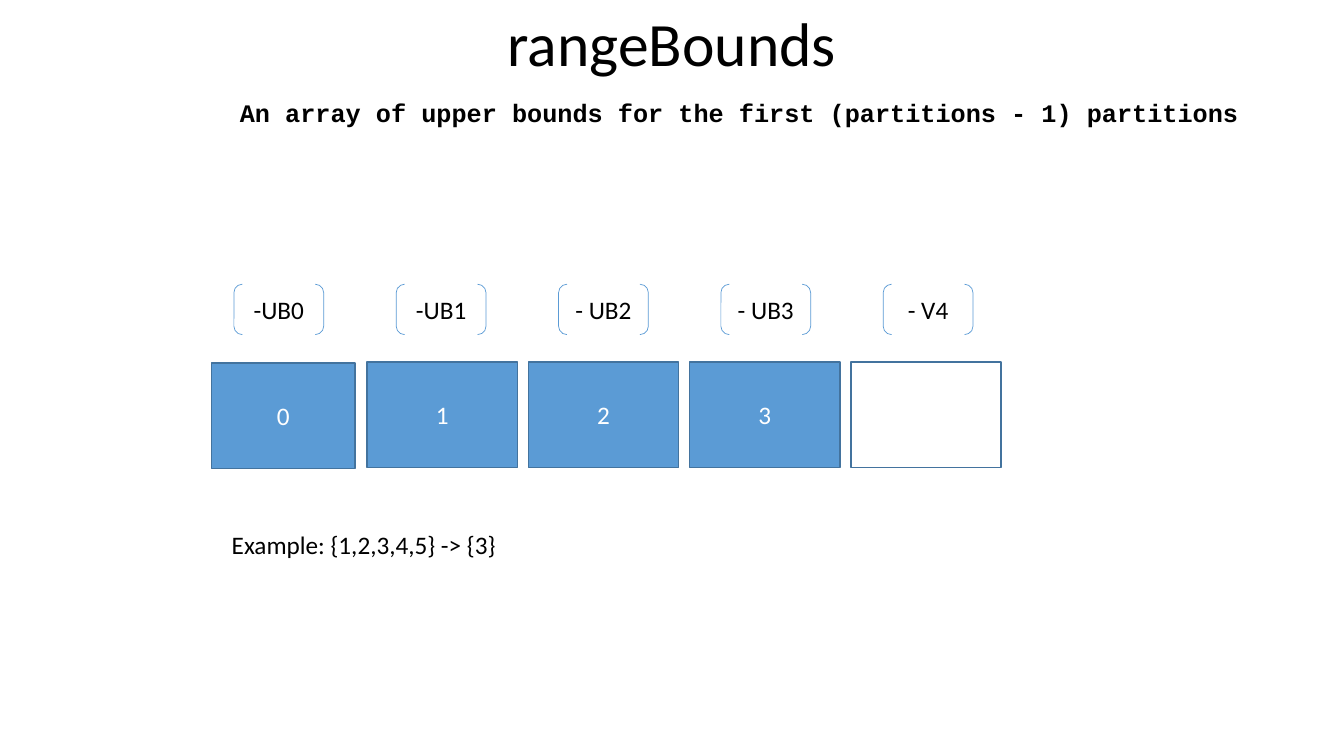
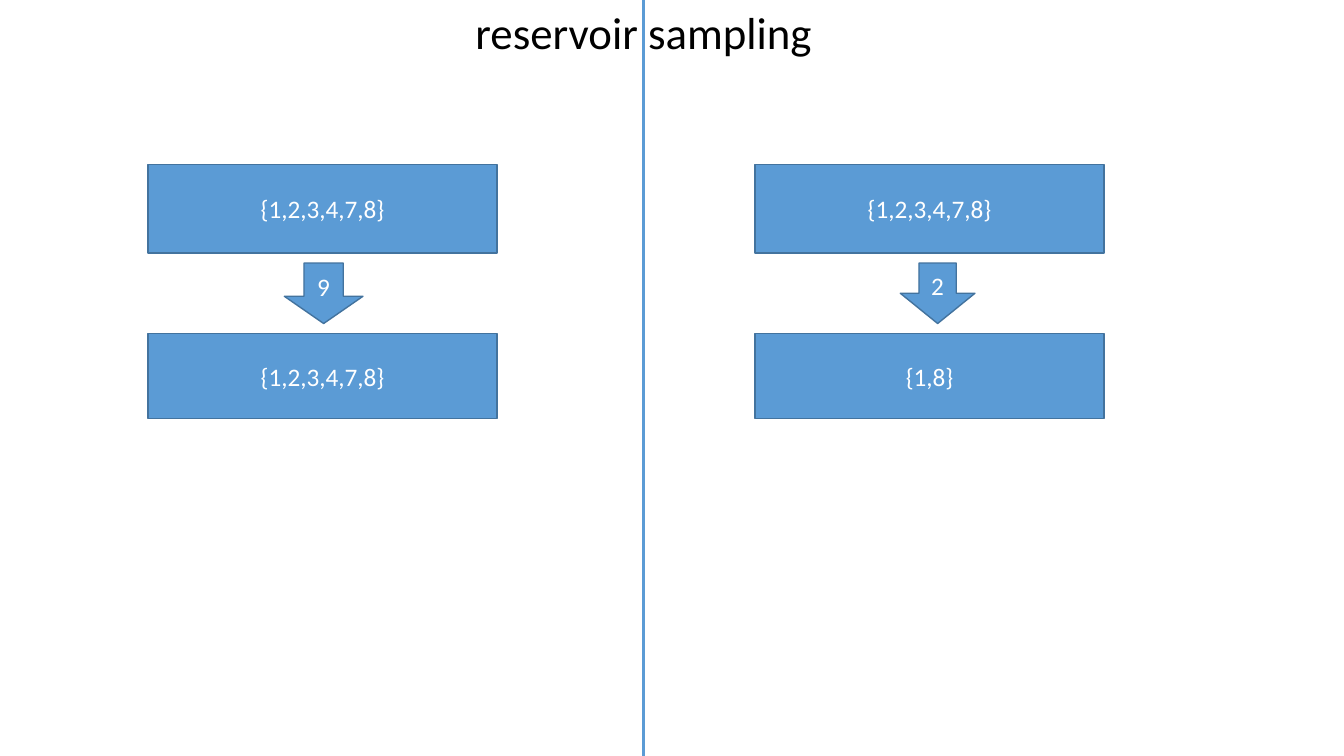
from lxml.etree import SubElement
from pptx import Presentation
from pptx.dml.color import RGBColor
from pptx.enum.shapes import MSO_CONNECTOR, MSO_SHAPE
from pptx.enum.text import MSO_ANCHOR, PP_ALIGN
from pptx.oxml.ns import qn
from pptx.util import Inches, Pt

# Content
BOUNDS_TITLE = "rangeBounds"
BOUNDS_NOTE = "An array of upper bounds for the first (partitions - 1) partitions"
BOUNDS_EXAMPLE = "Example: {1,2,3,4,5} -> {3}"
PARTITIONS = [("-UB0", "0"), ("-UB1", "1"), ("- UB2", "2"), ("- UB3", "3"), ("- V4", "")]
SAMPLING_TITLE = "reservoir sampling"
# left edge, reservoir before, new item, reservoir after, arrow left, arrow width, arrow head
SAMPLES = [
    (1.47, "{1,2,3,4,7,8}", "9", "{1,2,3,4,7,8}", 2.82, 0.78, 0.45),
    (7.49, "{1,2,3,4,7,8}", "2", "{1,8}", 8.93, 0.74, 0.5),
]

# Shared style
BLUE = RGBColor(0x5B, 0x9B, 0xD5)
EDGE = RGBColor(0x43, 0x73, 0x9E)
WHITE = RGBColor(0xFF, 0xFF, 0xFF)
BLACK = RGBColor(0, 0, 0)
BODY = {"name": "Calibri", "size": Pt(18), "bold": False}
CODE = {"name": "Courier New", "size": Pt(18), "bold": True}


def write(shape, text, color, font=BODY, align=PP_ALIGN.CENTER, anchor=MSO_ANCHOR.MIDDLE):
    tf = shape.text_frame
    tf.word_wrap = True
    tf.vertical_anchor = anchor
    p = tf.paragraphs[0]
    p.alignment = align
    r = p.add_run()
    r.text = text
    for key, value in font.items():
        setattr(r.font, key, value)
    r.font.color.rgb = color


def add_slide(prs, title, size, box):
    s = prs.slides.add_slide(prs.slide_layouts[5])
    sp = s.shapes.title
    sp.left, sp.top, sp.width, sp.height = map(Inches, box)
    write(sp, title, BLACK, {**BODY, "size": Pt(size)}, anchor=MSO_ANCHOR.TOP)
    return s


def add_block(s, box, text="", kind=MSO_SHAPE.RECTANGLE, fill=BLUE, line=EDGE,
              weight=1, color=WHITE):
    sp = s.shapes.add_shape(kind, *map(Inches, box))
    sp.shadow.inherit = False
    if fill is None:
        sp.fill.background()
    else:
        sp.fill.solid()
        sp.fill.fore_color.rgb = fill
    sp.line.color.rgb = line
    sp.line.width = Pt(weight)
    if text:
        write(sp, text, color)
    return sp


def add_text(s, box, text, font=BODY):
    sp = s.shapes.add_textbox(*map(Inches, box))
    write(sp, text, BLACK, font, PP_ALIGN.LEFT, MSO_ANCHOR.TOP)


def build_bounds(prs):
    s = add_slide(prs, BOUNDS_TITLE, 44, (0, 0, 13.33, 0.84))
    add_text(s, (2.28, 0.92, 11.05, 0.4), BOUNDS_NOTE, CODE)
    # Partitions with their upper bounds above
    for i, (bound, number) in enumerate(PARTITIONS):
        box = (2.04 + 1.6 * i, 3.59, 1.49, 1.05) if i else (2.1, 3.6, 1.42, 1.05)
        add_block(s, box, number, fill=BLUE if number else None)
        add_block(s, (2.32 + 1.61 * i, 2.82, 0.89, 0.5), bound, MSO_SHAPE.DOUBLE_BRACKET,
                  fill=None, line=BLUE, weight=0.5, color=BLACK)
    add_text(s, (2.2, 5.2, 4.8, 0.4), BOUNDS_EXAMPLE)


def build_sampling(prs):
    s = add_slide(prs, SAMPLING_TITLE, 32, (4.6, 0, 3.57, 0.64))
    # Reservoir before and after each new item
    for left, before, item, after, arrow_left, arrow_width, head in SAMPLES:
        add_block(s, (left, 1.63, 3.46, 0.88), before)
        add_block(s, (left, 3.31, 3.46, 0.84), after)
        arrow = add_block(s, (arrow_left, 2.61, arrow_width, 0.6), item, MSO_SHAPE.DOWN_ARROW)
        arrow.adjustments[1] = head
    # Divider
    x = Inches(6.38)
    divider = s.shapes.add_connector(MSO_CONNECTOR.STRAIGHT, x, 0, x, prs.slide_height)
    divider.line.color.rgb = BLUE
    divider.line.width = Pt(2.25)
    SubElement(divider._element.spPr, qn("a:effectLst"))


def main():
    prs = Presentation()
    prs.slide_width, prs.slide_height = Inches(13.33), Inches(7.5)
    build_bounds(prs)
    build_sampling(prs)
    prs.save("out.pptx")


if __name__ == "__main__":
    main()
